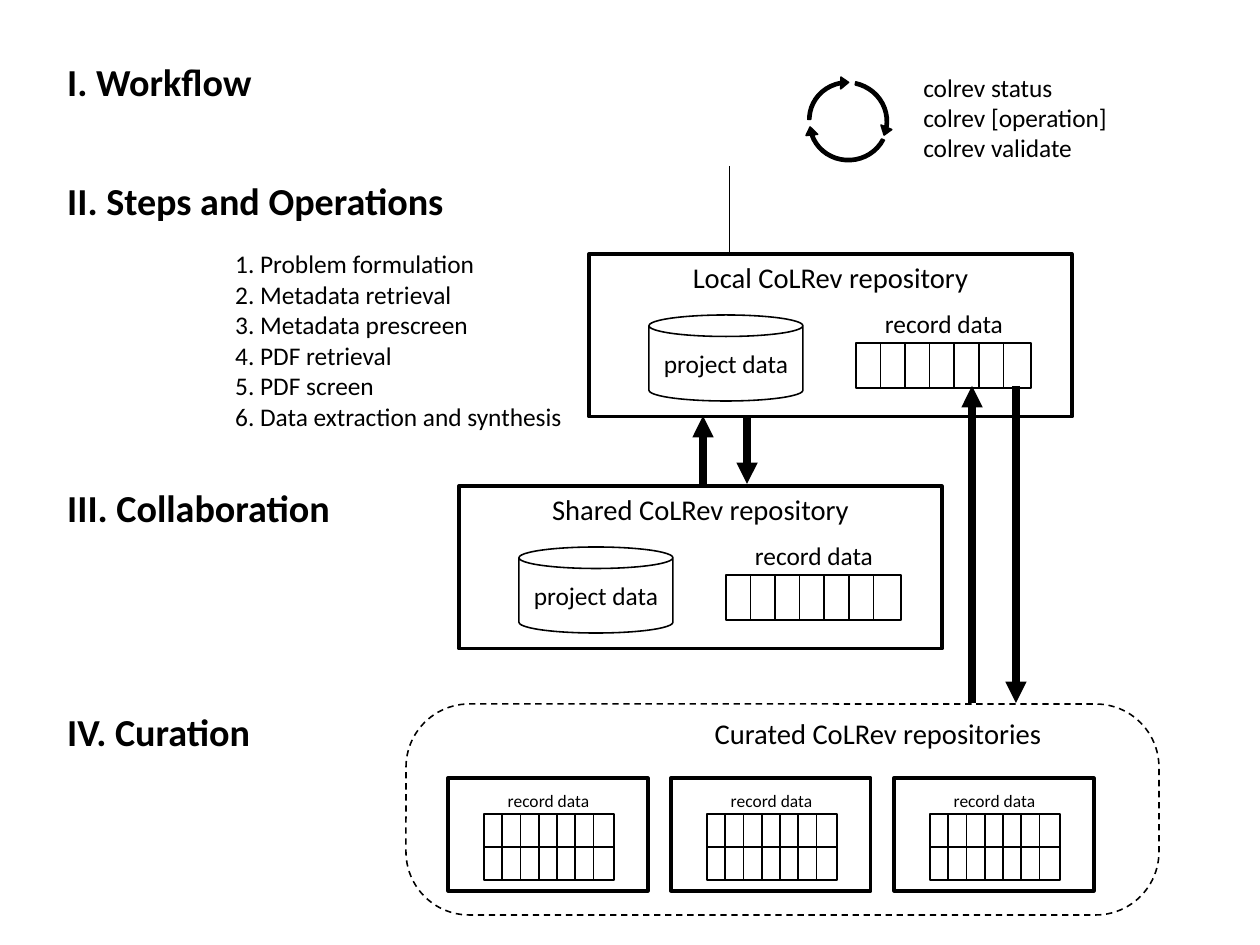
import pptx
import pptx.util
import pptx.dml.color
import pptx.enum.dml
import pptx.enum.shapes
import pptx.enum.text
import pptx.oxml

KIND = pptx.enum.shapes.MSO_SHAPE
ALIGN = pptx.enum.text.PP_ALIGN
ANCHOR = pptx.enum.text.MSO_ANCHOR
BLACK, WHITE = "000000", "FFFFFF"
NS = 'xmlns:a="http://schemas.openxmlformats.org/drawingml/2006/main"'


def px(*nums):
    return [pptx.util.Emu(round(n * 8000)) for n in nums]


def color(code):
    return pptx.dml.color.RGBColor.from_string(code)


def write(shape, lines, size, align=ALIGN.CENTER, anchor=ANCHOR.TOP, bold=False, before=0):
    frame = shape.text_frame
    frame.word_wrap = True
    frame.vertical_anchor = anchor
    frame.text = "\n".join(lines)
    for para in frame.paragraphs:
        para.alignment = align
        para.space_before = pptx.util.Pt(before)
        font = para.font
        font.name, font.size, font.bold = "Calibri", pptx.util.Pt(size), bold
        font.color.rgb = color(BLACK)


def label(slide, box, lines, size, **style):
    shape = slide.shapes.add_textbox(*px(*box))
    write(shape, lines, size, **style)
    shape.text_frame.auto_size = pptx.enum.text.MSO_AUTO_SIZE.SHAPE_TO_FIT_TEXT


def draw(slide, kind, box, width=1, fill=WHITE):
    shape = slide.shapes.add_shape(kind, *px(*box))
    shape.shadow.inherit = False
    if fill:
        shape.fill.solid()
        shape.fill.fore_color.rgb = color(fill)
    else:
        shape.fill.background()
    shape.line.color.rgb = color(BLACK)
    shape.line.width = pptx.util.Pt(width)
    return shape


def link(slide, start, end, width, head=True):
    line = slide.shapes.add_connector(
        pptx.enum.shapes.MSO_CONNECTOR.STRAIGHT, *px(*start, *end))
    line.line.color.rgb = color(BLACK)
    line.line.width = pptx.util.Pt(width)
    if head:
        line.line._get_or_add_ln().append(
            pptx.oxml.parse_xml(f'<a:tailEnd {NS} type="triangle"/>'))
    line._element.spPr.append(pptx.oxml.parse_xml(f"<a:effectLst {NS}/>"))


def records(slide, box, rows, cols=7):
    """Fill the box with record cells that overlap slightly sideways."""
    x, y, w, h = box
    step = w / (cols + 0.12)
    for row in range(rows):
        for col in range(cols):
            draw(slide, KIND.RECTANGLE,
                 (x + col * step, y + row * h / rows, step * 1.12, h / rows))


def repo(slide, box, title):
    x, y, w, h = box
    frame = draw(slide, KIND.RECTANGLE, box, 2)
    write(frame, [title], 18, before=6)
    store = draw(slide, KIND.CAN, (x + 60, y + 61, 154, 86))
    write(store, ["project data"], 16, anchor=ANCHOR.MIDDLE)
    records(slide, (x + 267, y + 89, 175, 45), 1)
    label(slide, (x + 272, y + 48, 166, 42), ["record data"], 16)


def curated(slide, box):
    x, y, w, h = box
    frame = draw(slide, KIND.ROUNDED_RECTANGLE, box, fill=None)
    frame.adjustments[0] = 0.3
    frame.line.dash_style = pptx.enum.dml.MSO_LINE.DASH
    label(slide, (x + 257, y + 6, 430, 46), ["Curated CoLRev repositories"], 18)
    for i in range(3):
        left, top = x + 42 + i * 223, y + 74
        draw(slide, KIND.RECTANGLE, (left, top, 200, 113), 2)
        records(slide, (left + 36, top + 36, 130, 66), 2)
        label(slide, (left + 39, top + 6, 123, 33), ["record data"], 11)


def cycle(slide, box):
    x, y, w, h = box
    # Offset, size, turn and sweep end of each arrow
    arcs = [((0, 2, 89, 86), 25.6, 153.18),
            ((1, 0, 86, 89), 273.6, 160.08),
            ((0, 5, 89, 86), 176.7, 125.44)]
    for (dx, dy, wide, high), turn, sweep in arcs:
        arc = draw(slide, KIND.CIRCULAR_ARROW, (x + dx, y + dy, wide, high), fill=BLACK)
        arc.rotation = turn
        for i, val in enumerate((0.036, 7.21, 207.2, sweep, 0.068)):
            arc.adjustments[i] = val
    label(slide, (x + 108, y - 9, 221, 104),
          ["colrev status", "colrev [operation]", "colrev validate"], 16, align=ALIGN.LEFT)


def outline(slide, box):
    x, y, w, h = box
    heads = [("I. Workflow", 0), ("II. Steps and Operations", 119),
             ("III. Collaboration", 426), ("IV. Curation", 650)]
    for text, dy in heads:
        label(slide, (x, y + dy, w, 57), [text], 24, align=ALIGN.LEFT, bold=True)
    steps = ["Problem formulation", "Metadata retrieval", "Metadata prescreen",
             "PDF retrieval", "PDF screen", "Data extraction and synthesis"]
    label(slide, (x + 168, y + 190, 359, 197),
          [f"{i}. {step}" for i, step in enumerate(steps, 1)], 16, align=ALIGN.LEFT)


deck = pptx.Presentation()
deck.slide_width, deck.slide_height = px(1260, 945)
slide = deck.slides.add_slide(deck.slide_layouts[6])

# Regions
outline(slide, (56, 53, 501, 707))
cycle(slide, (804, 75, 89, 91))
repo(slide, (589, 254, 483, 163), "Local CoLRev repository")
repo(slide, (459, 486, 483, 163), "Shared CoLRev repository")
curated(slide, (406, 704, 753, 211))

# Links between regions: up on the left, down on the right
link(slide, (729, 166), (729, 254), 0.5, head=False)
for left, top, low in [(703, 416, 484), (972, 386, 703)]:
    link(slide, (left, low), (left, top), 4.5)
    link(slide, (left + 44, top), (left + 44, low), 4.5)

deck.save("out.pptx")
